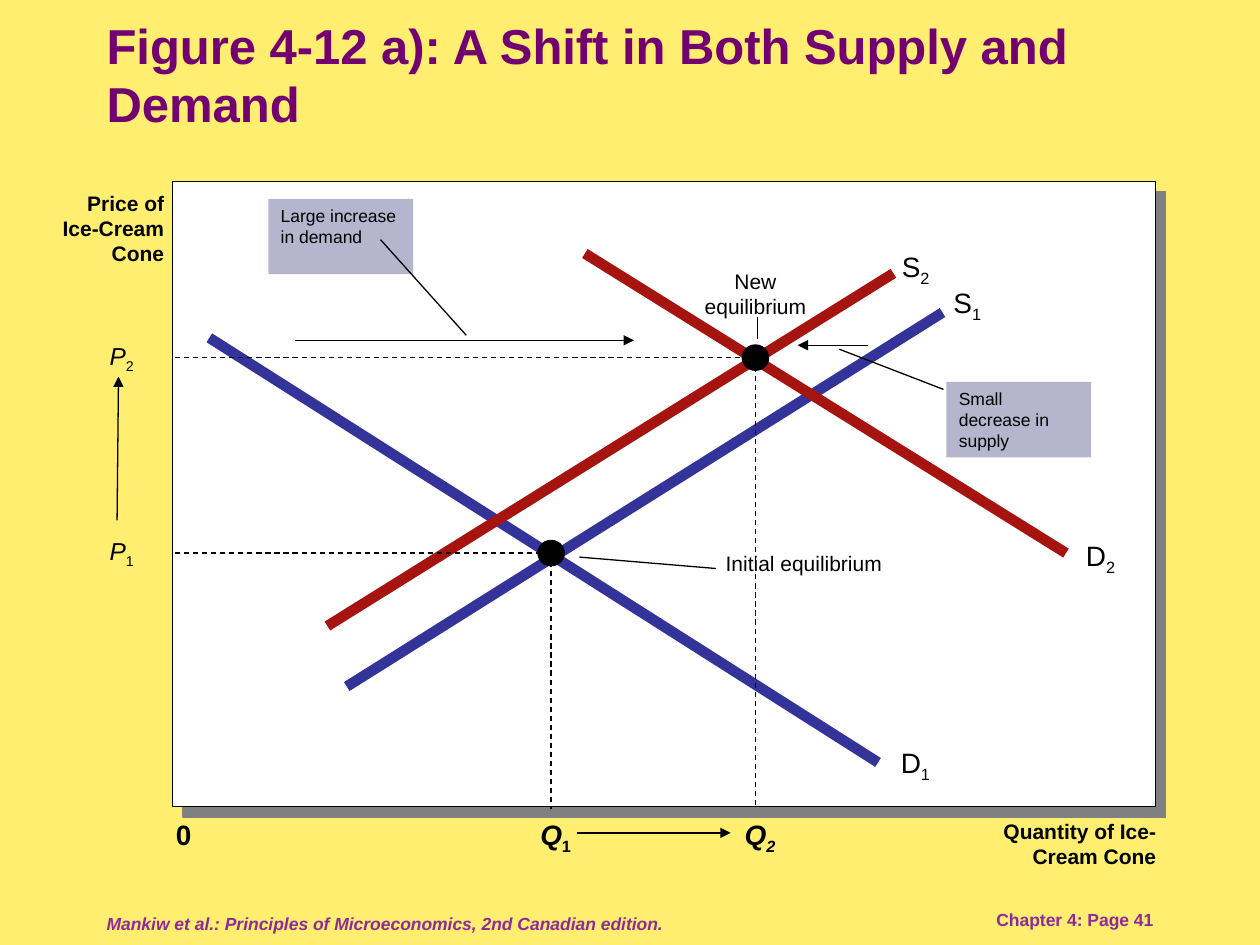
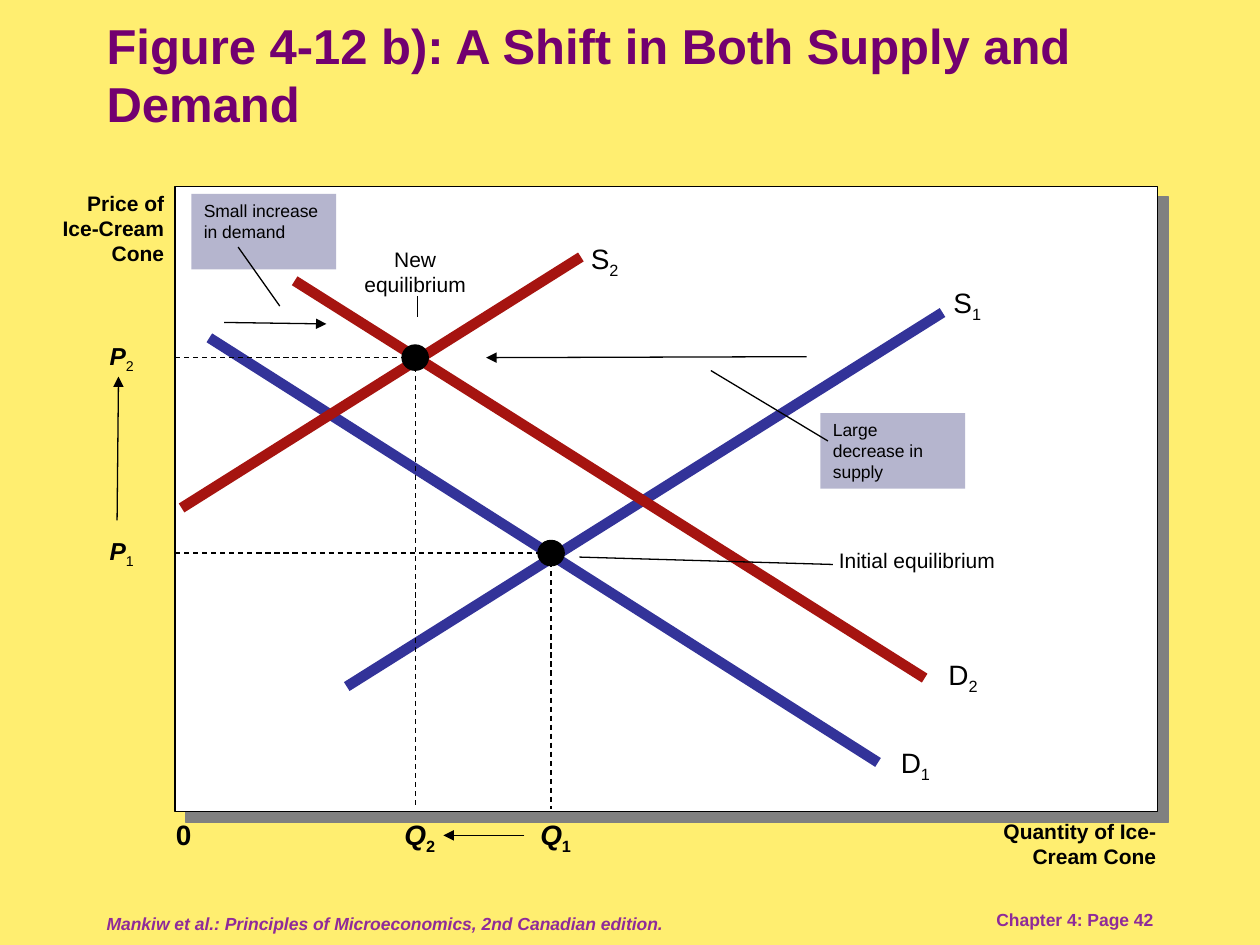
from dataclasses import dataclass
from typing import Any

from lxml.etree import SubElement
from pptx import Presentation
from pptx.dml.color import RGBColor
from pptx.enum.dml import MSO_LINE
from pptx.enum.shapes import MSO_CONNECTOR, MSO_SHAPE
from pptx.enum.text import MSO_ANCHOR, PP_ALIGN
from pptx.oxml.ns import qn
from pptx.util import Cm, Pt

FONT = "Arial"
PAPER, WHITE, BLACK = "FFEE70", "FFFFFF", "000000"
PLUM, VIOLET = "720070", "8F2B99"
OLD, NEW = "333399", "A61410"
NOTE, SHADE = "666699", "808080"
LEFT, RIGHT, MID = PP_ALIGN.LEFT, PP_ALIGN.RIGHT, PP_ALIGN.CENTER

TITLE_BOX = (1.9, 0.64, 21.6, 1.7)
GRAPH_BOX = (0.5, 3.5, 23.5, 14.3)
FOOT_BOX = (1.9, 18.2, 21.6, 0.84)

AXIS, FLOOR = 3.03, 12.8  # where the dashed guides end
START = (10.61, 7.65)  # initial equilibrium


def paint(hue):
    return RGBColor.from_string(hue)


def style(font, size, hue=BLACK, look=""):
    """Set a font; look holds b for bold and i for italic."""
    font.name, font.size = FONT, Pt(size)
    font.color.rgb = paint(hue)
    font.bold, font.italic = "b" in look, "i" in look


@dataclass
class Pane:
    """A box on a slide; spots are in cm from its top left corner."""
    slide: Any
    box: tuple

    def at(self, spot):
        return Cm(self.box[0] + spot[0]), Cm(self.box[1] + spot[1])

    def line(self, start, end, hue=BLACK, width=0.75, dash=False, arrow=False):
        link = self.slide.shapes.add_connector(
            MSO_CONNECTOR.STRAIGHT, *self.at(start), *self.at(end))
        link.line.color.rgb = paint(hue)
        link.line.width = Pt(width)
        if dash:
            link.line.dash_style = MSO_LINE.DASH
        if arrow:
            SubElement(link.line._get_or_add_ln(), qn("a:tailEnd"), type="triangle")
        SubElement(link._element.spPr, qn("a:effectLst"))

    def shape(self, kind, spot, size, hue, edge=True):
        form = self.slide.shapes.add_shape(kind, *self.at(spot), *map(Cm, size))
        form.shadow.inherit = False
        form.fill.solid()
        form.fill.fore_color.rgb = paint(hue)
        if edge:
            form.line.color.rgb = paint(BLACK)
            form.line.width = Pt(0.75)
        else:
            form.line.fill.background()
        return form

    def text(self, words, spot, size, points, hue=BLACK, look="",
             align=LEFT, anchor=MSO_ANCHOR.TOP):
        form = self.slide.shapes.add_textbox(*self.at(spot), *map(Cm, size))
        write(form, words, points, hue, look, align, anchor)

    def symbol(self, name, spot, size, points, look="", low="", align=LEFT):
        """Write a letter with its lowered digit, styled look and low."""
        form = self.slide.shapes.add_textbox(*self.at(spot), *map(Cm, size))
        form.text_frame.word_wrap = True
        para = form.text_frame.paragraphs[0]
        para.alignment = align
        for sign, mode in zip(name, (look, low)):
            run = para.add_run()
            run.text = sign
            style(run.font, points, look=mode)
        run._r.get_or_add_rPr().set("baseline", "-25000")


def write(form, words, points, hue=BLACK, look="", align=LEFT,
          anchor=MSO_ANCHOR.TOP):
    frame = form.text_frame
    frame.word_wrap = True
    frame.vertical_anchor = anchor
    para = frame.paragraphs[0]
    para.text, para.alignment = words, align
    style(para.font, points, hue, look)


def title(pane, words):
    pane.text(words, (0, 0), pane.box[2:], 28, PLUM, "b", anchor=MSO_ANCHOR.MIDDLE)


def footer(pane, page):
    pane.text("Mankiw et al.: Principles of Microeconomics, 2nd Canadian edition.",
              (0, 0), (15.04, pane.box[3]), 10, VIOLET, "bi",
              anchor=MSO_ANCHOR.MIDDLE)
    wide = 5.28
    pane.text(f"Chapter 4: Page {page}", (pane.box[2] - wide, 0), (wide, 0.64),
              10, VIOLET, "b", RIGHT)


def plot(pane, spot):
    """Draw the white plot area with its hard shadow."""
    form = pane.shape(MSO_SHAPE.RECTANGLE, spot, (19.81, 12.6), WHITE)
    glow = form._element.spPr.find(qn("a:effectLst"))
    cast = SubElement(glow, qn("a:outerShdw"), blurRad="0", dist=str(Pt(8.5)),
                      dir="2700000", algn="ctr", rotWithShape="0")
    SubElement(cast, qn("a:srgbClr"), val=SHADE)


def axes(pane):
    pane.text("0", (1.91, 12.86), (1.7, 0.94), 16, look="b", align=RIGHT)
    pane.text("Quantity of Ice-Cream Cone", (19, 12.88), (4.06, 1.27), 12,
              look="b", align=RIGHT)
    pane.text("Price of Ice-Cream Cone", (0.19, 0.21), (2.87, 1.78), 12,
              look="b", align=RIGHT)


def curve(pane, name, hue, start, end, tag):
    pane.line(start, end, hue, 6)
    pane.symbol(name, tag, (1.5, 0.94), 16)


def balance(pane, spot, digit, price, low):
    """Mark an equilibrium, its guides, its price and its quantity."""
    x, y = spot
    wide, high = 0.53, 0.51
    pane.line((AXIS, y), spot, dash=True)
    pane.line(spot, (x, FLOOR), dash=True)
    pane.shape(MSO_SHAPE.OVAL, (x - wide / 2, y - high / 2), (wide, high), BLACK)
    pane.symbol("P" + digit, (1.46, y - 0.47), (1.3, 0.84), 14, price)
    pane.symbol("Q" + digit, (x - 1, 12.86), (1.65, 0.94), 16, "bi", low, RIGHT)


def shift(pane, words, spot, arrow, lead):
    """Draw a shaded note, the arrow it explains and the line between."""
    pane.line(*arrow, arrow=True)
    form = pane.shape(MSO_SHAPE.RECTANGLE, spot, (2.92, 1.52), NOTE, edge=False)
    tint = form._element.spPr.find(qn("a:solidFill"))[0]
    SubElement(tint, qn("a:alpha"), val="48000")
    write(form, words, 10)
    pane.line(*lead)


def graph(pane, data):
    plot(pane, data["plot"])
    curve(pane, "D1", OLD, (3.72, 3.31), (17.2, 11.87), (17.41, 11.41))
    curve(pane, "S1", OLD, (6.49, 10.34), (18.5, 2.8), (18.47, 2.14))
    axes(pane)
    for name in ("D2", "S2"):
        curve(pane, name, NEW, *data[name])
    balance(pane, START, "1", data["price"], "b")
    balance(pane, data["goal"], "2", data["price"], data["low"])
    for note in data["notes"]:
        shift(pane, *note)
    pane.line((1.86, 6.99), (1.89, 4.09), arrow=True)
    pane.line(*data["move"], arrow=True)

    x, top = data["goal"][0], data["top"]
    wide = 2.87
    pane.text("New equilibrium", (x - wide / 2, top), (wide, 1.27), 12, align=MID)
    pane.line((x + 0.04, top + 1.12), (x + 0.04, top + 1.55))
    pane.text("Initial equilibrium", data["first"], (5.03, 0.76), 12)
    pane.line(data["lead"], (11.18, 7.73))


CASES = [
    {
        "part": "a", "page": 41, "plot": (2.98, 0.16),
        "D2": ((11.29, 1.61), (20.99, 7.65), (21.14, 7.24)),
        "S2": ((6.1, 9.12), (17.51, 2.01), (17.43, 1.4)),
        "goal": (14.73, 3.71), "price": "i", "low": "bi",
        "notes": [
            ("Large increase in demand", (4.91, 0.51),
             ((5.44, 3.36), (12.28, 3.36)), ((7.17, 1.33), (8.9, 3.26))),
            ("Small decrease in supply", (18.58, 4.2),
             ((17, 3.46), (15.58, 3.46)), ((18.52, 4.35), (16.42, 3.54))),
        ],
        "move": ((11.13, 13.29), (14.23, 13.29)),
        "top": 1.78, "first": (13.88, 7.47), "lead": (13.93, 7.96),
    },
    {
        "part": "b", "page": 42, "plot": (3.03, 0.26),
        "D2": ((5.44, 2.16), (18.14, 10.17), (18.37, 9.63)),
        "S2": ((3.16, 6.74), (11.21, 1.68), (11.16, 1.25)),
        "goal": (7.87, 3.71), "price": "bi", "low": "b",
        "notes": [
            ("Small increase in demand", (3.36, 0.41),
             ((4.02, 3), (6.08, 3.03)), ((4.3, 1.48), (5.14, 2.67))),
            ("Large decrease in supply", (16.04, 4.83),
             ((15.76, 3.69), (9.3, 3.71)), ((16.19, 5.39), (13.83, 3.97))),
        ],
        "move": ((10.07, 13.34), (8.44, 13.34)),
        "top": 1.35, "first": (16.16, 7.42), "lead": (16.29, 7.88),
    },
]


def main():
    deck = Presentation()
    deck.slide_width, deck.slide_height = Cm(25.4), Cm(19.05)
    back = deck.slide_master.background.fill
    back.solid()
    back.fore_color.rgb = paint(PAPER)
    for case in CASES:
        slide = deck.slides.add_slide(deck.slide_layouts[6])
        footer(Pane(slide, FOOT_BOX), case["page"])
        graph(Pane(slide, GRAPH_BOX), case)
        title(Pane(slide, TITLE_BOX),
              f"Figure 4-12 {case['part']}): A Shift in Both Supply and Demand")
    deck.save("out.pptx")


if __name__ == "__main__":
    main()
